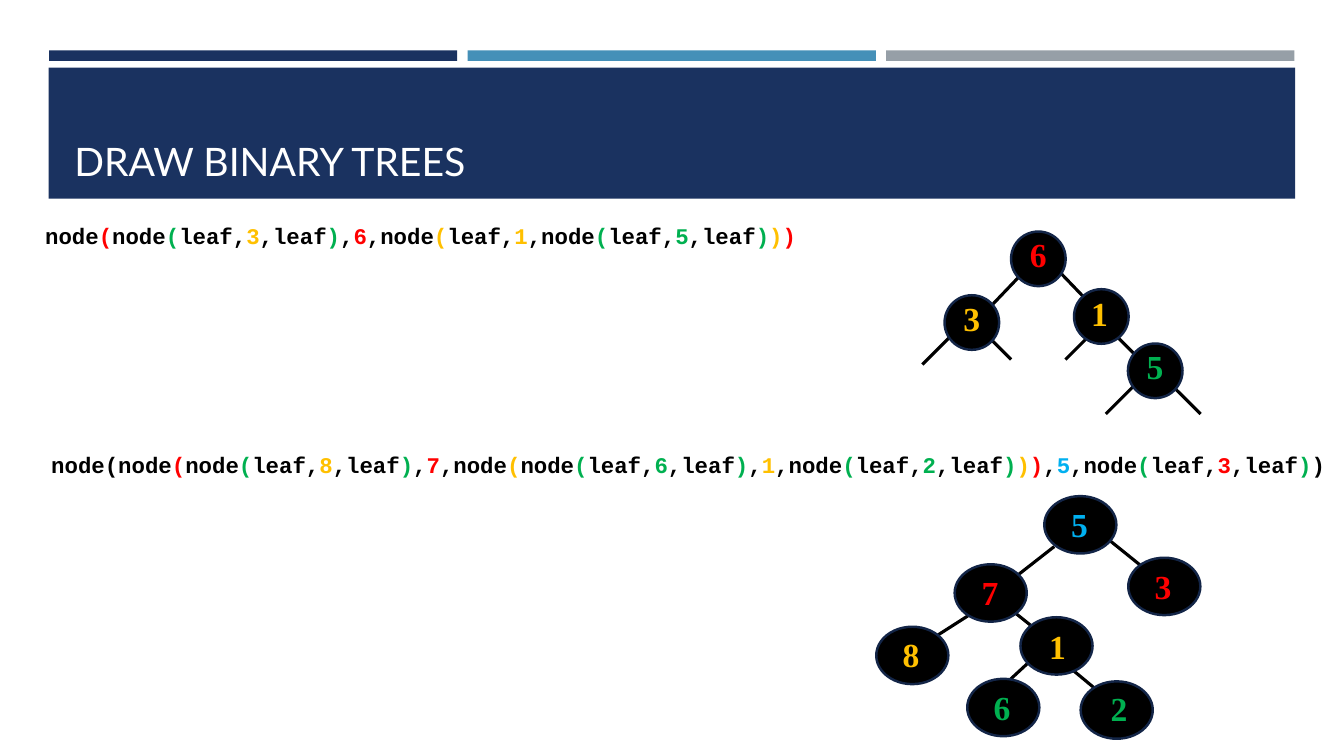
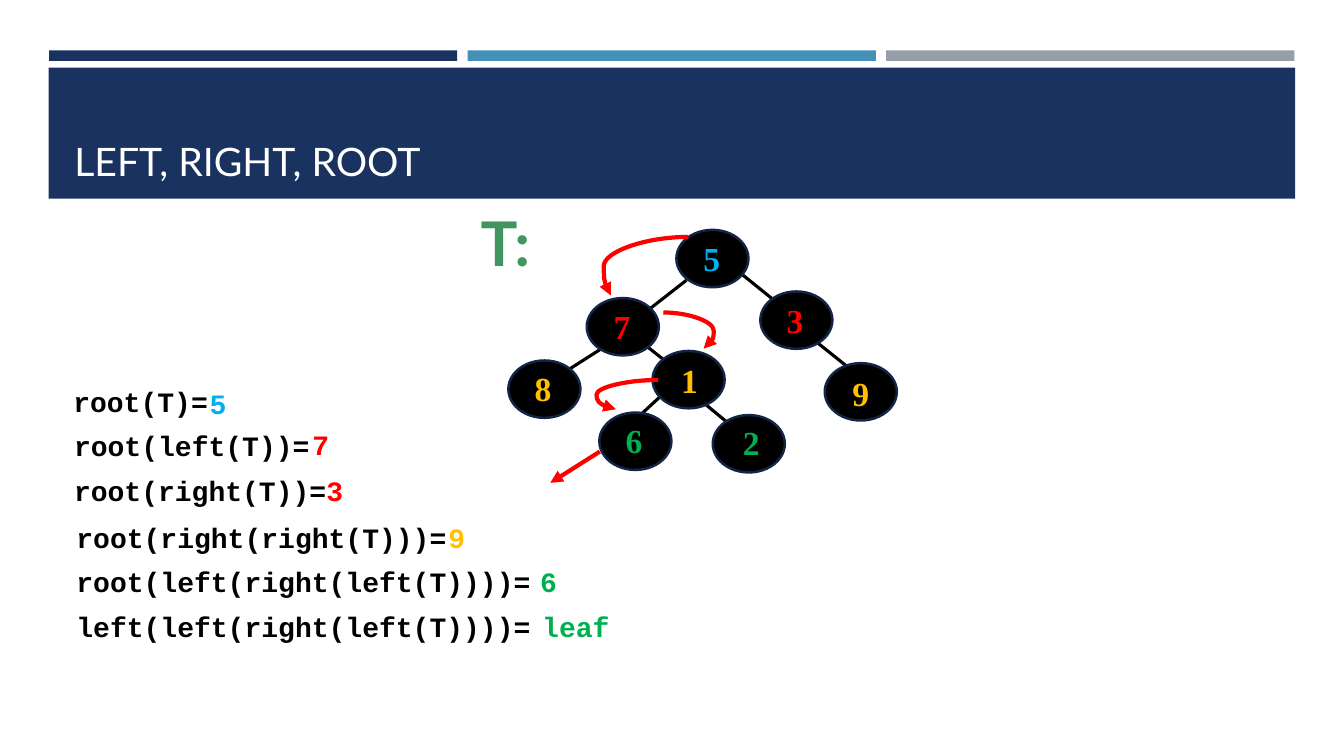
from itertools import groupby

from lxml import etree
from pptx import Presentation
from pptx.dml.color import RGBColor
from pptx.enum import shapes, text
from pptx.oxml.ns import qn
from pptx.util import Pt

BLACK = RGBColor(0x00, 0x00, 0x00)
WHITE = RGBColor(0xFF, 0xFF, 0xFF)
NAVY = RGBColor(0x1A, 0x32, 0x60)
STEEL = RGBColor(0x45, 0x90, 0xB8)
GRAY = RGBColor(0x96, 0x9F, 0xA7)
OUTLINE = RGBColor(0x13, 0x25, 0x47)
RED = RGBColor(0xFF, 0x00, 0x00)
AMBER = RGBColor(0xFF, 0xC0, 0x00)
GREEN = RGBColor(0x00, 0xB0, 0x50)
BLUE = RGBColor(0x00, 0xB0, 0xF0)
SAGE = RGBColor(0x42, 0x95, 0x5F)
CODES = {"K": BLACK, "R": RED, "A": AMBER, "G": GREEN, "B": BLUE}


def add_run(tf, content, font="Courier New", size=20, color=BLACK, bold=True):
    r = tf.paragraphs[0].add_run()
    r.text = content
    r.font.name = font
    r.font.size = Pt(size)
    r.font.bold = bold
    r.font.color.rgb = color


class Deck:
    heading = {"font": "Lato", "size": 28, "color": WHITE, "bold": False}
    key = {"font": "Times New Roman", "size": 24}

    def __init__(self):
        self.prs = Presentation()
        self.prs.slide_width, self.prs.slide_height = Pt(960), Pt(540)

    def slide(self, title):
        self.s = self.prs.slides.add_slide(self.prs.slide_layouts[6])
        for i, color in enumerate((NAVY, STEEL, GRAY)):
            self.shape("RECTANGLE", 35 + 299 * i, 36, 291.6, 7.5, color)
        self.shape("RECTANGLE", 34.8, 48.3, 890.4, 93.7, NAVY)
        tf = self.box(46, 55.5, 868, 80, wrap=True)
        tf.vertical_anchor = text.MSO_ANCHOR.BOTTOM
        add_run(tf, title, **self.heading)

    def shape(self, kind, x, y, w, h, fill, outline=None):
        sp = self.s.shapes.add_shape(shapes.MSO_SHAPE[kind], Pt(x), Pt(y), Pt(w), Pt(h))
        sp.shadow.inherit = False
        sp.fill.solid()
        sp.fill.fore_color.rgb = fill
        if outline is None:
            sp.line.fill.background()
        else:
            sp.line.color.rgb = outline
            sp.line.width = Pt(1.75)

    def box(self, x, y, w, h, wrap=False):
        tf = self.s.shapes.add_textbox(Pt(x), Pt(y), Pt(w), Pt(h)).text_frame
        tf.word_wrap = wrap
        tf.auto_size = text.MSO_AUTO_SIZE.NONE if wrap else text.MSO_AUTO_SIZE.SHAPE_TO_FIT_TEXT
        return tf

    def code(self, x, y, content, size=20, color=BLACK, marks=""):
        tf = self.box(x, y, 0.605 * size * len(content) + 15, 1.13 * size + 8.8)
        if not marks:
            add_run(tf, content, size=size, color=color)
            return
        codes = iter(marks)
        pairs = [(c, "K" if c.isalpha() or c == "," else next(codes)) for c in content]
        for mark, group in groupby(pairs, key=lambda pair: pair[1]):
            add_run(tf, "".join(c for c, _ in group), size=size, color=CODES[mark])

    def line(self, x1, y1, x2, y2, color=BLACK, width=2.25, arrow=False, bend=None):
        kind = shapes.MSO_CONNECTOR.STRAIGHT if bend is None else shapes.MSO_CONNECTOR.CURVE
        cxn = self.s.shapes.add_connector(kind, Pt(x1), Pt(y1), Pt(x2), Pt(y2))
        cxn.line.color.rgb = color
        cxn.line.width = Pt(width)
        spPr = cxn._element.spPr
        if arrow:
            etree.SubElement(cxn.line._get_or_add_ln(), qn("a:tailEnd"), type="triangle")
        if bend is not None:
            guides = spPr.find(qn("a:prstGeom")).find(qn("a:avLst"))
            etree.SubElement(guides, qn("a:gd"), name="adj1", fmla=f"val {round(bend * 100000)}")
        etree.SubElement(spPr, qn("a:effectLst"))

    def tree(self, x, y, nodes, edges, size, label):
        for x1, y1, x2, y2 in edges:
            self.line(x + x1, y + y1, x + x2, y + y2)
        left, top, width = label
        for dx, dy, key, color, *nudge in nodes:
            self.shape("OVAL", x + dx, y + dy, *size, BLACK, OUTLINE)
            nx, ny = nudge or (0, 0)
            tf = self.box(x + dx + left + nx, y + dy + top + ny, width, 36, wrap=True)
            add_run(tf, key, color=color, **self.key)


SMALL = {"size": (39, 39), "label": (6.3, -1.6, 26)}
LARGE = {"size": (51.5, 41), "label": (12.2, 2.2, 34.5)}

small_nodes = [(0, 0, "6", RED), (-47.5, 45.5, "3", AMBER),
               (45, 41.2, "1", AMBER, -1.2, 0.9), (83.5, 80, "5", GREEN)]
small_edges = [(35.3, 29.5, 54.7, 49.7), (75.6, 75, 95, 94.3),
               (5, 33, -13.7, 52.6), (-44, 75.6, -63.4, 95),
               (116, 111, 135.4, 130.3), (-19.4, 72, 0, 91.4),
               (87, 111, 67.7, 130.3), (58.3, 72, 38.9, 91.4)]
large_nodes = [(0, 0, "5", BLUE), (-64, 48.7, "7", RED), (60, 44, "3", RED, -0.5, 0),
               (-120, 93.3, "8", AMBER, -0.5, -0.7), (-17, 86.5, "1", AMBER, 1.2, 0.4),
               (-55, 130.5, "6", GREEN, -0.5, -0.3), (26, 132.3, "2", GREEN, 2.2, -0.8)]
large_edges = [(7.2, 36, -18.7, 56.2), (46.8, 31.7, 72.7, 52.6),
               (17.3, 121.7, 42.5, 142.6), (-26, 79.2, 0, 100),
               (-46.8, 80.6, -76.3, 99.4), (-5.8, 113.8, -33, 139)]

deck = Deck()

deck.slide("DRAW BINARY TREES")
deck.tree(722.2, 165.4, small_nodes, small_edges, **SMALL)
deck.tree(745.9, 354.4, large_nodes, large_edges, **LARGE)
deck.code(25.2, 155, "node(node(leaf,3,leaf),6,node(leaf,1,node(leaf,5,leaf)))",
          size=16, marks="RGAGRAAGGGAR")
deck.code(29.5, 319, "node(node(node(leaf,8,leaf),7,node(node(leaf,6,leaf),1,"
          "node(leaf,2,leaf))),5,node(leaf,3,leaf))",
          size=16, marks="KRGAGRAGGGAGGGARBGRGK")

deck.slide("LEFT, RIGHT, ROOT")
deck.tree(483.1, 164.2, large_nodes + [(106, 95.2, "9", AMBER, 0.4, 1.2)],
          large_edges + [(100, 80, 126, 100.8)], **LARGE)
add_run(deck.box(336.2, 142.6, 57, 60.5), "T:", font="Lato", size=44, color=SAGE)

questions = [(45.3, 271.4, "root(T)=", 142.6, 272.2, "5", BLUE),
             (45.8, 302.4, "root(left(T))=", 216, 301.5, "7", RED),
             (45.8, 335, "root(right(T))=", 226, 335, "3", RED),
             (47.5, 368, "root(right(right(T)))=", 313.2, 368, "9", AMBER),
             (47.5, 399.6, "root(left(right(left(T))))=", 378.7, 399.6, "6", GREEN),
             (47.5, 432, "left(left(right(left(T))))=", 380.2, 432, "leaf", GREEN)]
for x, y, question, answer_x, answer_y, answer, color in questions:
    deck.code(x, y, question)
    deck.code(answer_x, answer_y, answer, color=color)

steps = [(491.8, 169.2, 436.3, 211, 1.09), (473.8, 223.2, 502.6, 249.1, 1.25),
         (470.2, 271.4, 440, 292.3, 1.46), (428.4, 322.6, 393.1, 344.9, None)]
for *ends, bend in steps:
    deck.line(*ends, color=RED, width=3, arrow=True, bend=bend)

deck.prs.save("out.pptx")
